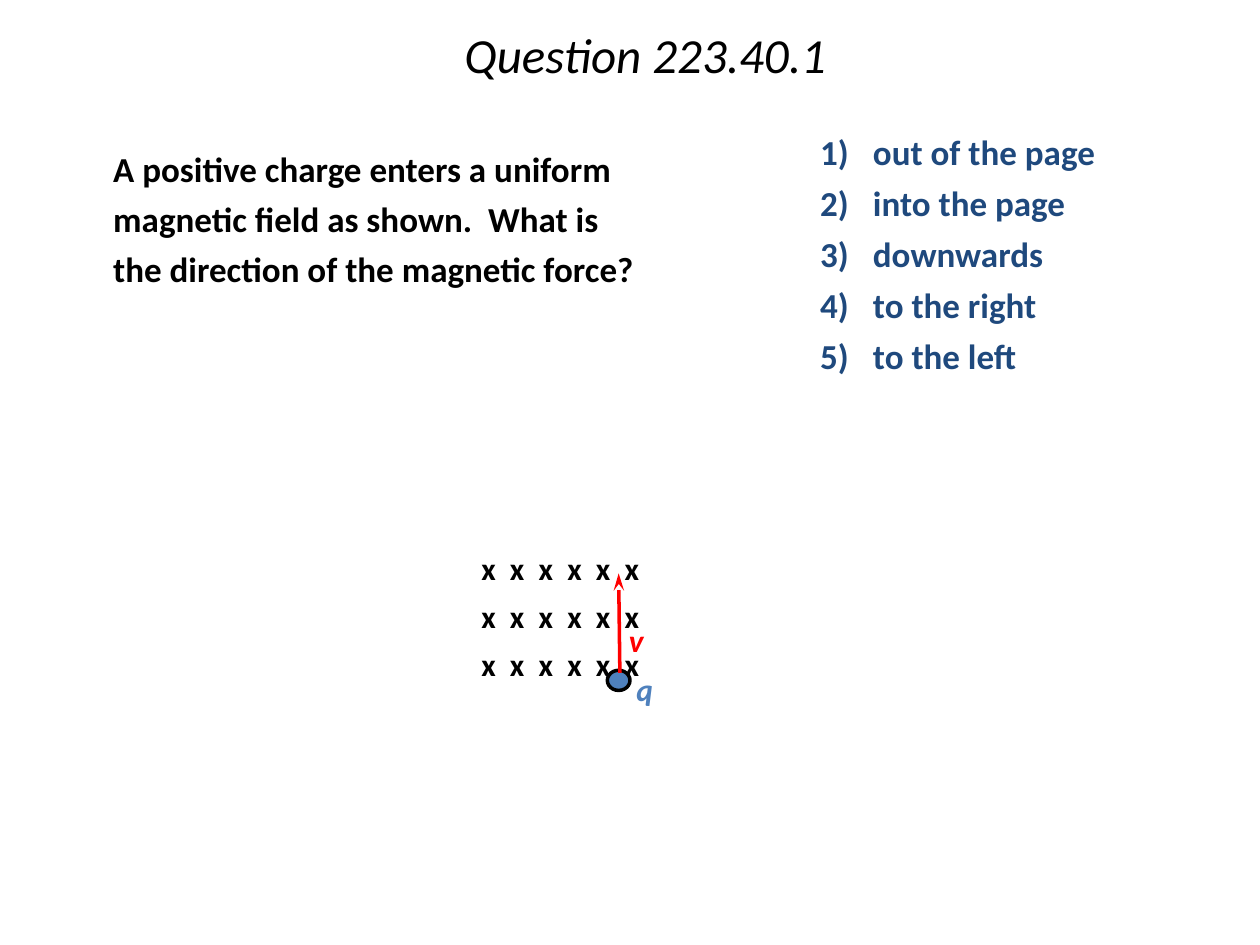
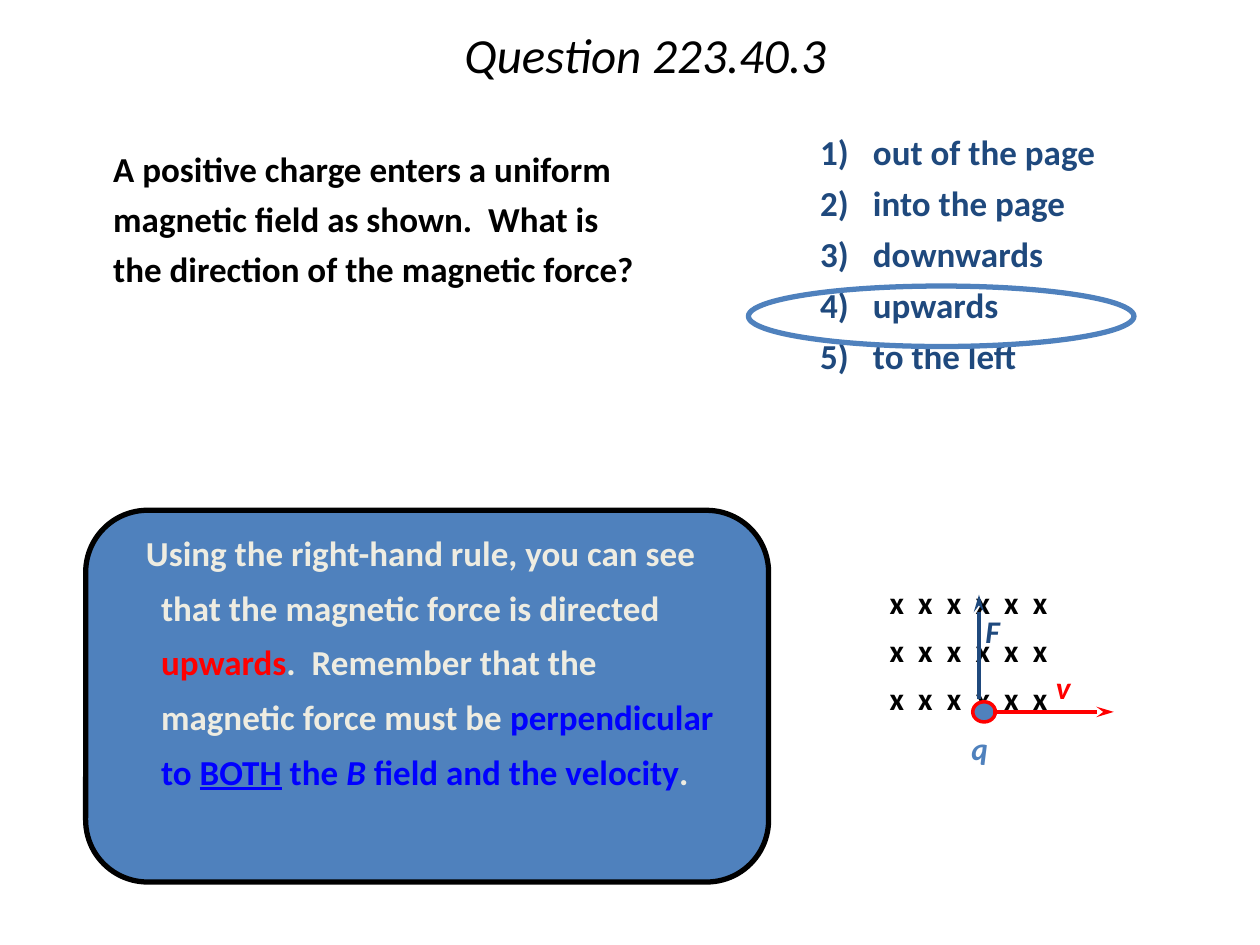
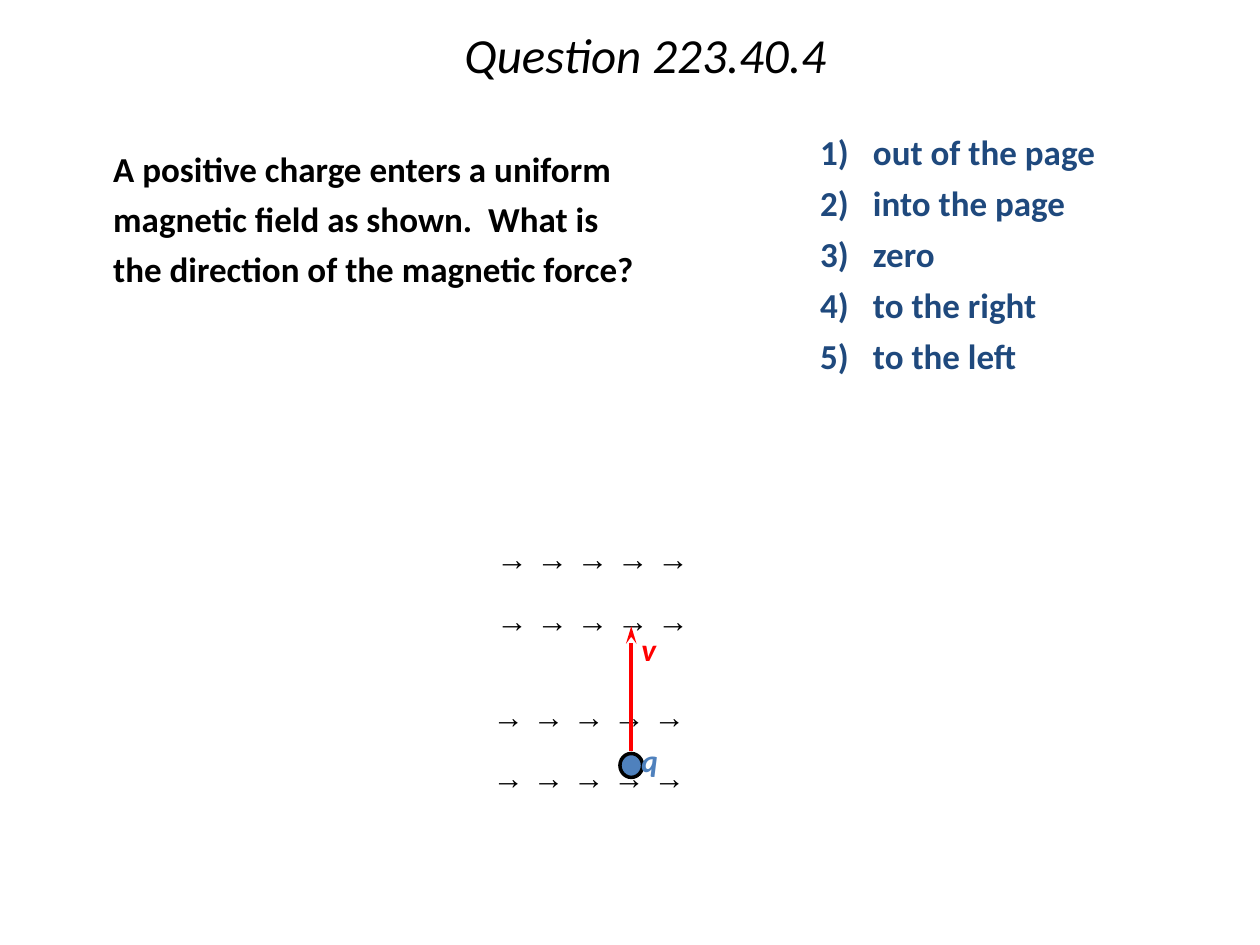
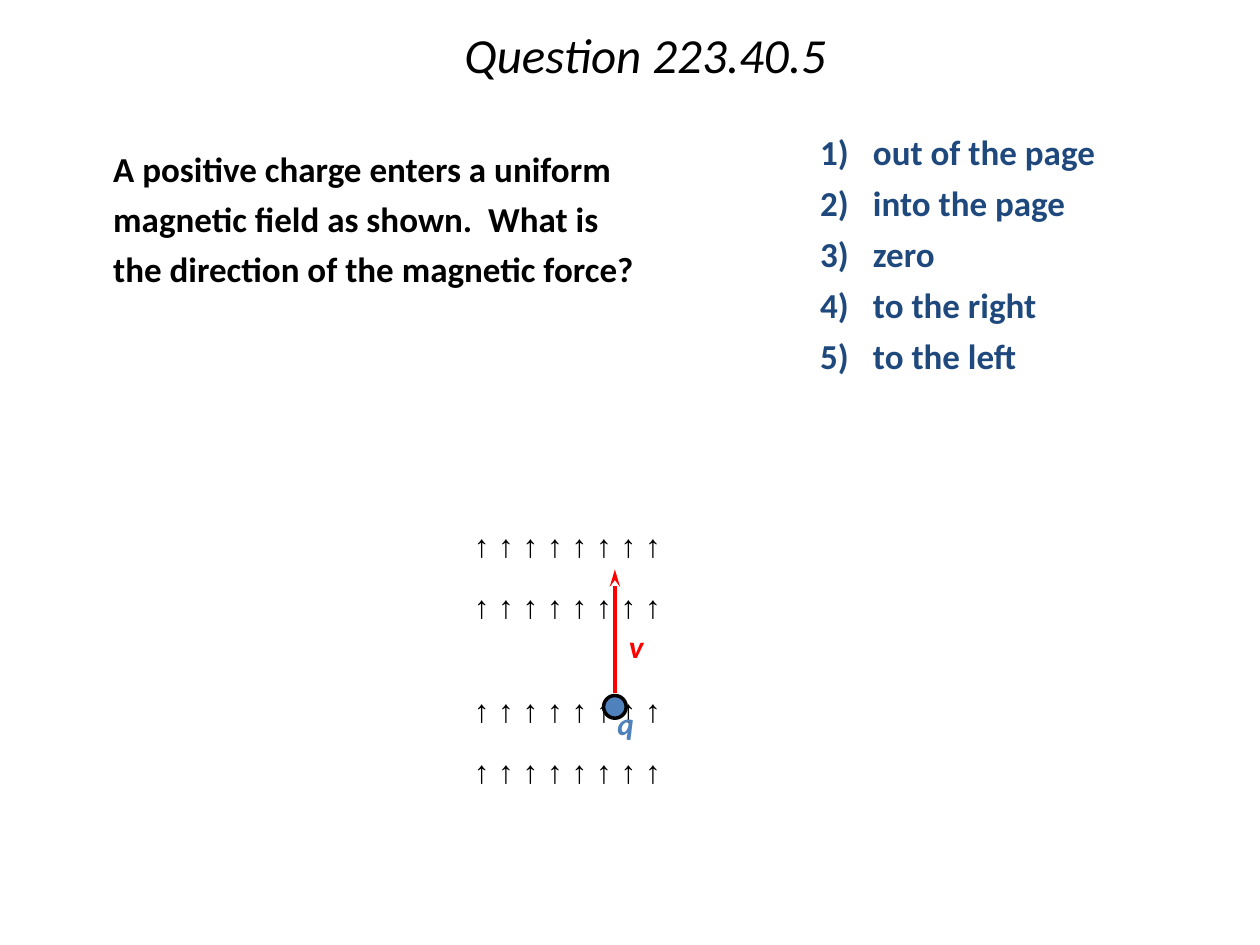
import pptx
import pptx.dml.color
import pptx.enum.shapes
import pptx.enum.text
import pptx.oxml.ns
import pptx.util
import lxml.etree

Inches = pptx.util.Inches
Pt = pptx.util.Pt
RGBColor = pptx.dml.color.RGBColor
MSO_SHAPE = pptx.enum.shapes.MSO_SHAPE
qn = pptx.oxml.ns.qn

BLACK = RGBColor(0x00, 0x00, 0x00)
NAVY = RGBColor(0x1F, 0x49, 0x7D)
BLUE = RGBColor(0x4F, 0x81, 0xBD)
RED = RGBColor(0xFF, 0x00, 0x00)
CREAM = RGBColor(0xEE, 0xEC, 0xE1)
BRIGHT_BLUE = RGBColor(0x00, 0x00, 0xFF)

QUESTION = ("A positive charge enters a uniform magnetic field as shown.  "
            "What is the direction of the magnetic force?")
EXPLANATION = [
    ("Using the right-hand rule, you can see that the magnetic force is directed ", {}),
    ("upwards", {"color": RED}),
    (".  Remember that the magnetic force must be ", {}),
    ("perpendicular to ", {"color": BRIGHT_BLUE}),
    ("BOTH", {"color": BRIGHT_BLUE, "underline": True}),
    (" the ", {"color": BRIGHT_BLUE}),
    ("B", {"color": BRIGHT_BLUE, "italic": True}),
    (" field and the velocity", {"color": BRIGHT_BLUE}),
    (".", {}),
]


def add_text(s, box, paragraphs, size=20, color=BLACK, font="Calibri", italic=False,
             spacing=1.0, before=0, margin=0, indent=0, insets=(0.1, 0.05),
             wrap=True, grow=True):
    tf = s.shapes.add_textbox(*map(Inches, box)).text_frame
    tf.word_wrap = wrap
    if grow:
        tf.auto_size = pptx.enum.text.MSO_AUTO_SIZE.SHAPE_TO_FIT_TEXT
    tf.margin_left = tf.margin_right = Inches(insets[0])
    tf.margin_top = tf.margin_bottom = Inches(insets[1])
    for i, runs in enumerate(paragraphs):
        p = tf.paragraphs[0] if i == 0 else tf.add_paragraph()
        pPr = p._p.get_or_add_pPr()
        pPr.set("marL", str(Inches(margin)))
        pPr.set("indent", str(Inches(indent)))
        p.line_spacing = spacing
        if i and before:
            p.space_before = Pt(before)
        for text, style in [(runs, {})] if isinstance(runs, str) else runs:
            r = p.add_run()
            r.text = text
            r.font.name = font
            r.font.size = Pt(size)
            r.font.bold = True
            r.font.italic = style.get("italic", italic)
            r.font.underline = style.get("underline", False)
            r.font.color.rgb = style.get("color", color)


def add_shape(s, kind, box, fill, line, width):
    sp = s.shapes.add_shape(kind, *map(Inches, box))
    sp.shadow.inherit = False
    if fill is None:
        sp.fill.background()
    else:
        sp.fill.solid()
        sp.fill.fore_color.rgb = fill
    sp.line.color.rgb = line
    sp.line.width = Pt(width)


crosses = {"rows": ["  ".join("x" * 6)] * 3, "spacing": 0.9, "before": 8}
field_right = {"rows": [" ".join("→" * 5)] * 2, "spacing": 1.14, "before": 10.5, "font": "Arial"}
field_up = {**field_right, "rows": [" ".join("↑" * 8)] * 2}

slides = [
    {"number": 1, "answers": ["downwards", "to the right", "to the left"],
     "field": crosses, "field_boxes": [(3.75, 4.36, 2.41, 1.49)],
     "charge": (4.82, 5.32, 0.18, 0.16), "outline": BLACK,
     "arrows": [(4.92, 5.34, 4.91, 4.55, RED)],
     "labels": [("v", 4.92, 4.94, RED), ("q", 4.98, 5.33, BLUE)]},
    {"number": 3, "answers": ["downwards", "upwards", "to the left"], "solved": True,
     "field": crosses, "field_boxes": [(6.99, 4.63, 2.41, 1.49)],
     "charge": (7.72, 5.57, 0.18, 0.16), "outline": RED,
     "arrows": [(7.88, 5.65, 8.84, 5.65, RED), (7.77, 5.55, 7.77, 4.72, NAVY)],
     "labels": [("v", 8.31, 5.31, RED), ("q", 7.64, 5.8, BLUE), ("F", 7.75, 4.87, NAVY)]},
    {"number": 4, "answers": ["zero", "to the right", "to the left"],
     "field": field_right,
     "field_boxes": [(3.87, 4.21, 2.58, 1.19), (3.84, 5.46, 2.48, 1.19)],
     "charge": (4.92, 5.98, 0.18, 0.19), "outline": BLACK,
     "arrows": [(5.01, 5.96, 5.01, 4.97, RED)],
     "labels": [("v", 5.02, 5.01, RED), ("q", 5.02, 5.89, BLUE)]},
    {"number": 5, "answers": ["zero", "to the right", "to the left"],
     "field": field_up,
     "field_boxes": [(3.69, 4.1, 2.75, 1.19), (3.69, 5.41, 2.75, 1.19)],
     "charge": (4.79, 5.52, 0.18, 0.18), "outline": BLACK,
     "arrows": [(4.88, 5.5, 4.88, 4.52, RED)],
     "labels": [("v", 4.92, 4.99, RED), ("q", 4.83, 5.6, BLUE)]},
]

prs = pptx.Presentation()
prs.slide_width = Inches(10)
prs.slide_height = Inches(7.5)

for data in slides:
    s = prs.slides.add_slide(prs.slide_layouts[5])
    title = s.shapes.title
    title.left, title.top, title.width, title.height = map(Inches, (0.72, 0, 8.8, 0.92))
    title.text_frame.vertical_anchor = pptx.enum.text.MSO_ANCHOR.MIDDLE
    p = title.text_frame.paragraphs[0]
    p.text = f"Question 223.40.{data['number']}"
    p.alignment = pptx.enum.text.PP_ALIGN.CENTER
    p.line_spacing = 0.9
    p.font.name = "Calibri"
    p.font.size = Pt(28)
    p.font.italic = True
    p.font.color.rgb = BLACK

    solved = data.get("solved", False)
    if solved:
        add_shape(s, MSO_SHAPE.ROUNDED_RECTANGLE, (0.68, 4.05, 5.42, 2.95), BLUE, BLACK, 3)
        add_text(s, (0.87, 4.07, 5.01, 2.7), [EXPLANATION], color=CREAM, spacing=1.3,
                 margin=0.31, indent=-0.12)

    add_text(s, (0.36, 1.02, 4.82, 2.05), [QUESTION], spacing=1.2, margin=0.44,
             insets=(0.1, 0.08), grow=False)
    answers = ["out of the page", "into the page"] + data["answers"]
    add_text(s, (6.41, 1.05, 3.59, 2.1),
             [f"{i})\t{answer}" for i, answer in enumerate(answers, 1)],
             color=NAVY, spacing=0.8, before=10, margin=0.42, indent=-0.42)
    if solved:
        add_shape(s, MSO_SHAPE.OVAL, (5.94, 2.27, 3.06, 0.48), None, BLUE, 3)

    field = dict(data["field"])
    rows = field.pop("rows")
    for box in data["field_boxes"]:
        add_text(s, box, rows, size=18, insets=(0.07, 0.03), **field)

    add_shape(s, MSO_SHAPE.OVAL, data["charge"], BLUE, data["outline"], 2)
    for *ends, color in data["arrows"]:
        cx = s.shapes.add_connector(pptx.enum.shapes.MSO_CONNECTOR.STRAIGHT, *map(Inches, ends))
        cx.line.color.rgb = color
        cx.line.width = Pt(2)
        spPr = cx._element.spPr
        lxml.etree.SubElement(spPr.find(qn("a:ln")), qn("a:tailEnd"), type="stealth", len="lg")
        lxml.etree.SubElement(spPr, qn("a:effectLst"))
    for text, left, top, color in data["labels"]:
        size = (0.28, 0.32) if text == "v" else (0.34, 0.4)
        add_text(s, (left, top, *size), [text], size=18, color=color, italic=True,
                 spacing=0.87, insets=(0.07, 0.03), wrap=False)

prs.save("out.pptx")
